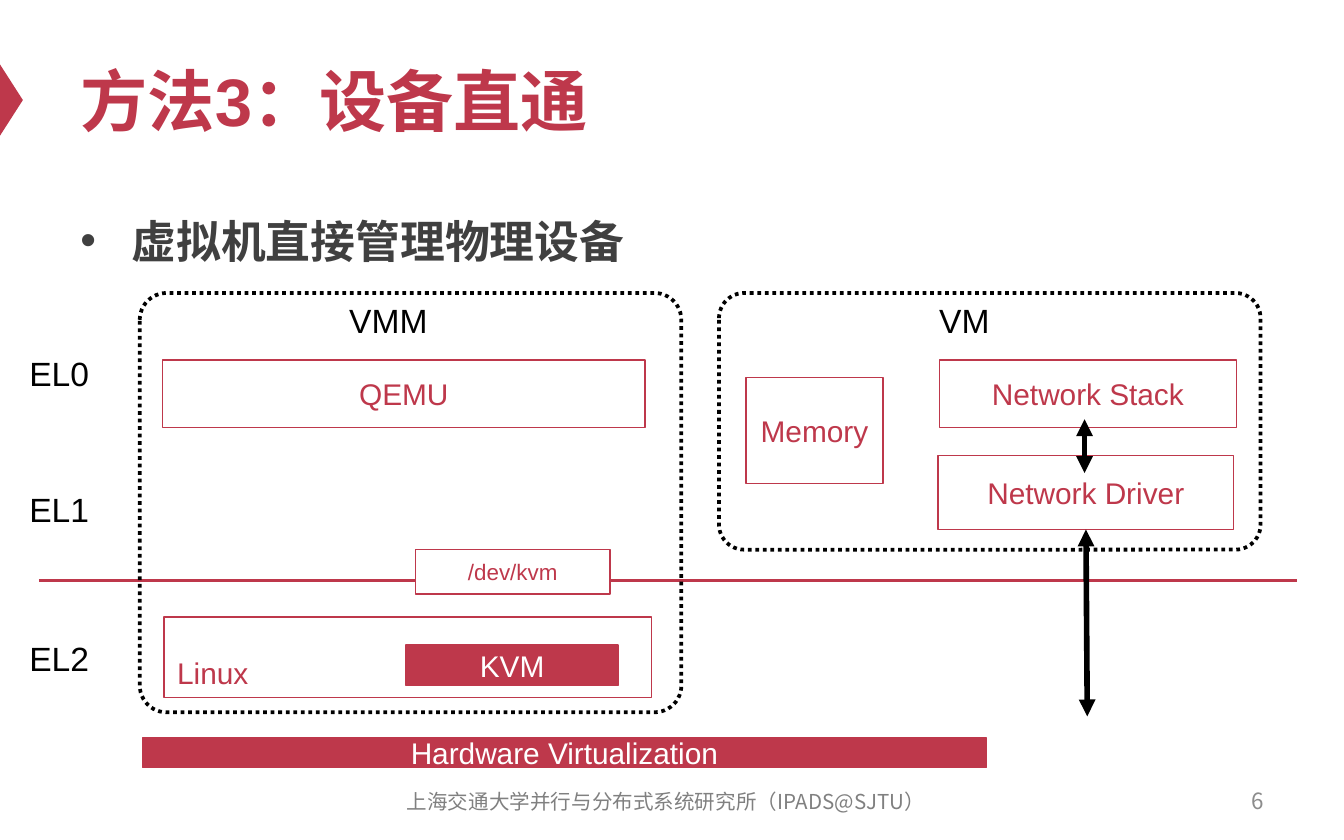
from lxml import etree
from pptx import Presentation, util as u
from pptx.dml.color import RGBColor
from pptx.enum import dml, shapes, text
from pptx.oxml.ns import qn

# Content: places are left, top, width, height in percent of the slide
SIZE = (10, 6.25)
HUES = {"red": "BE384B", "black": "000000", "white": "FFFFFF",
        "dark": "404040", "gray": "808080", "pale": "8C8C8C"}
NOTO = "Noto Sans CJK SC"
TITLE = ("方法3：设备直通", (5, 4, 90, 15.68))
POINT = ("虚拟机直接管理物理设备", (5, 23.36, 90, 65.92))
FOOT = ("上海交通大学并行与分布式系统研究所（IPADS@SJTU）", (27.9, 92.8, 43.3, 5.28))
PAGE = ("6", (71.7, 92.64, 23.3, 5.28))
MARK = (-1.8, 10.56, 5.3, 2.72)
LABELS = [("EL0", 1.2, 41.28), ("EL1", 1.2, 57.44), ("EL2", 1.2, 75.2),
          ("VMM", 25, 34.88), ("VM", 68.9, 34.88)]
FRAMES = [((53.5, 34.88, 40.3, 30.56), 0.098), ((10.4, 34.88, 40.3, 49.92), 0.064)]
# Text, place, solid red or not, changes to the usual format
BOXES = [
    ("Linux", (12.2, 73.44, 36.3, 9.6), False, {"align": "LEFT", "anchor": "BOTTOM"}),
    ("QEMU", (12.1, 42.88, 35.9, 8), False, {}),
    ("Network Driver", (69.8, 54.24, 22, 8.8), False, {}),
    ("Network Stack", (69.9, 42.88, 22.1, 8), False, {}),
    ("KVM", (30.2, 76.8, 15.8, 4.8), True, {}),
    ("/dev/kvm", (30.9, 65.44, 14.5, 5.28), False, {"size": 12}),
    ("Hardware Virtualization", (10.6, 87.84, 62.8, 3.52), True, {}),
    ("Memory", (55.5, 44.96, 10.2, 12.64), False, {}),
]
BORDER = (2.9, 69.12, 96.5, 69.12)
ARROWS = [(80.7, 49.92, 80.7, 56.32), (80.8, 63.04, 80.9, 85.28)]

deck = Presentation()
deck.slide_width, deck.slide_height = map(u.Inches, SIZE)
slide = deck.slides.add_slide(deck.slide_layouts[6])


def rgb(hue):
    return RGBColor.from_string(HUES[hue])


def scale(place):
    return [u.Inches(v * SIZE[i % 2] / 100) for i, v in enumerate(place)]


def write(shape, words, size=16, hue="red", face="Arial", bold=False,
          align="LEFT", anchor="MIDDLE", wrap=True):
    frame = shape.text_frame
    frame.word_wrap = wrap
    frame.vertical_anchor = getattr(text.MSO_ANCHOR, anchor)
    para = frame.paragraphs[0]
    para.alignment = getattr(text.PP_ALIGN, align)
    run = para.add_run()
    run.text = words
    for key, val in {"size": u.Pt(size), "name": face, "bold": bold}.items():
        setattr(run.font, key, val)
    run.font.color.rgb = rgb(hue)
    etree.SubElement(run.font._element, qn("a:ea"), typeface=NOTO)
    return para


def label(words, place, **form):
    return write(slide.shapes.add_textbox(*scale(place)), words, **form)


def draw(kind, place, fill=None, line=None, width=0.75):
    shape = slide.shapes.add_shape(getattr(shapes.MSO_SHAPE, kind), *scale(place))
    shape.shadow.inherit = False
    for part, hue in ((shape.fill, fill), (shape.line.fill, line)):
        if hue:
            part.solid()
            part.fore_color.rgb = rgb(hue)
        else:
            part.background()
    if line:
        shape.line.width = u.Pt(width)
    return shape


def link(ends, hue, width, heads=()):
    wire = slide.shapes.add_connector(shapes.MSO_CONNECTOR.STRAIGHT, *scale(ends))
    wire.line.color.rgb = rgb(hue)
    wire.line.width = u.Pt(width)
    for head in heads:
        etree.SubElement(wire.line._get_or_add_ln(), qn(head), type="triangle")
    etree.SubElement(wire._element.spPr, qn("a:effectLst"))


# Title, page mark and footer
draw("ISOSCELES_TRIANGLE", MARK, "red").rotation = 90
label(*TITLE, size=36, bold=True)
label(*FOOT, size=11, hue="gray", face=NOTO, align="CENTER")
label(*PAGE, size=12, hue="pale", face=NOTO, align="RIGHT")

# Bullet point
para = label(*POINT, size=24, hue="dark", bold=True, anchor="TOP")
para.line_spacing = 1.2
props = para._p.get_or_add_pPr()
for key, val in {"marL": 0.38, "indent": -0.38}.items():
    props.set(key, str(u.Inches(val)))
etree.SubElement(props, qn("a:buFont"), typeface="Arial")
etree.SubElement(props, qn("a:buChar"), char="•")

# Diagram: border below the boxes, frames and arrows above
link(BORDER, "red", 2)
for words, place, solid, form in BOXES:
    box = draw("RECTANGLE", place, "red" if solid else "white", "red")
    write(box, words, **{"hue": "white" if solid else "red", "align": "CENTER", **form})
for place, bend in FRAMES:
    frame = draw("ROUNDED_RECTANGLE", place, line="black", width=2)
    frame.adjustments[0] = bend
    frame.line.dash_style = dml.MSO_LINE.ROUND_DOT
for words, left, top in LABELS:
    label(words, (left, top, 10, 8.32), size=18, hue="black", anchor="TOP", wrap=False)
for ends in ARROWS:
    link(ends, "black", 3, ("a:headEnd", "a:tailEnd"))

deck.save("out.pptx")
